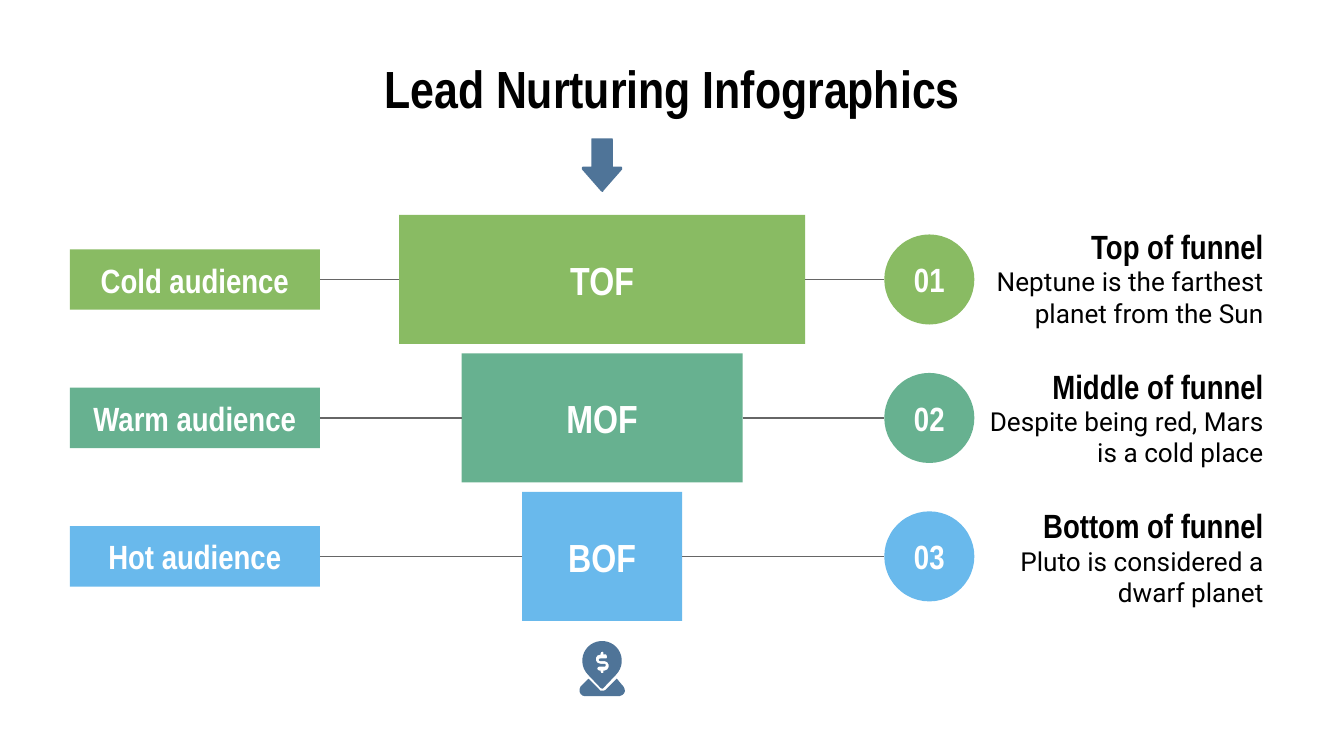
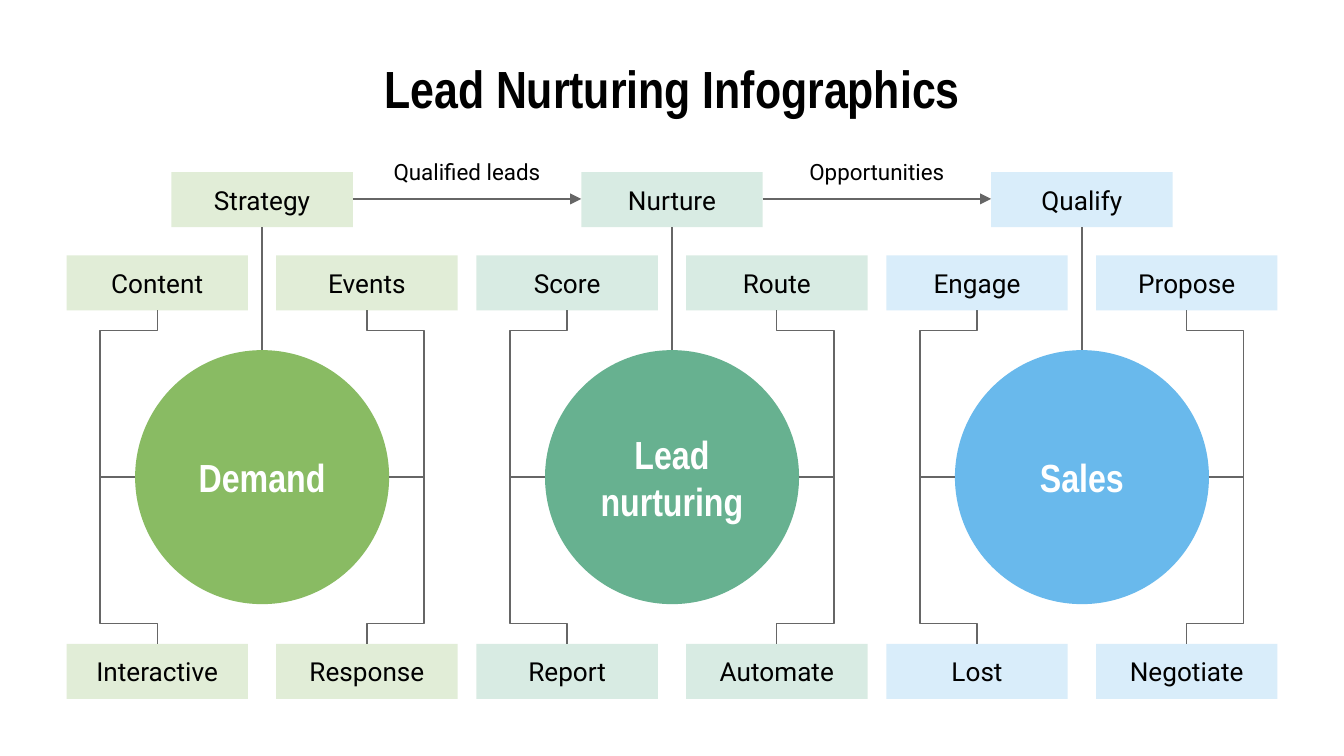
from dataclasses import dataclass
from math import cos, radians, sin

from lxml.etree import SubElement
from pptx import Presentation
from pptx.dml.color import RGBColor
from pptx.enum.shapes import MSO_CONNECTOR as CONN, MSO_SHAPE as SHAPE
from pptx.enum.text import MSO_ANCHOR as ANCHOR, PP_ALIGN as ALIGN
from pptx.oxml.ns import qn
from pptx.util import Inches, Pt


@dataclass(frozen=True)
class Theme:
    heading: str = "Arial Narrow"
    body: str = "Roboto"
    black: str = "000000"
    white: str = "FFFFFF"
    line: str = "666666"
    icon: str = "4F7498"
    accents: tuple = ("89BB63", "67B190", "69B9EC")
    title_size: int = 28
    stage_size: int = 21
    label_size: int = 18
    body_size: int = 14
    note_size: int = 12
    line_width: float = 0.75
    tint: int = 25


T = Theme()


def add_text(s, box, text, size, font=T.heading, color=T.black, align=ALIGN.CENTER,
             kind=None, fill=None, tint=None):
    box = [Inches(v) for v in box]
    if kind is None:
        sp = s.shapes.add_textbox(*box)
    else:
        sp = s.shapes.add_shape(kind, *box)
        sp.shadow.inherit = False
        sp.line.fill.background()
        sp.fill.solid()
        sp.fill.fore_color.rgb = RGBColor.from_string(fill)
        if tint:
            clr = sp._element.spPr.find(".//" + qn("a:srgbClr"))
            SubElement(clr, qn("a:alpha"), val=str(tint * 1000))
    tf = sp.text_frame
    tf.word_wrap = True
    tf.vertical_anchor = ANCHOR.MIDDLE
    tf.margin_left = tf.margin_right = tf.margin_top = tf.margin_bottom = Inches(0.1)
    p = tf.paragraphs[0]
    p.alignment = align
    r = p.add_run()
    r.text = text
    r.font.size = Pt(size)
    r.font.name = font
    r.font.bold = font == T.heading
    r.font.color.rgb = RGBColor.from_string(color)


def add_line(s, x1, y1, x2, y2, arrow=False, bends=None):
    kind = CONN.ELBOW if bends else CONN.STRAIGHT
    c = s.shapes.add_connector(kind, *[Inches(v) for v in (x1, y1, x2, y2)])
    c.line.color.rgb = RGBColor.from_string(T.line)
    c.line.width = Pt(T.line_width)
    spPr = c._element.spPr
    if arrow:
        SubElement(spPr.find(qn("a:ln")), qn("a:tailEnd"), type="triangle")
    if bends:
        geom = spPr.find(qn("a:prstGeom"))
        geom.set("prst", "bentConnector4")
        for i, bend in enumerate(bends, 1):
            SubElement(geom.find(qn("a:avLst")), qn("a:gd"),
                       name=f"adj{i}", fmla=f"val {round(bend * 100000)}")
    SubElement(spPr, qn("a:effectLst"))


prs = Presentation()
prs.slide_width = Inches(10)
prs.slide_height = Inches(10 * 9 / 16)
funnel, process = [prs.slides.add_slide(prs.slide_layouts[6]) for _ in range(2)]
for s in (funnel, process):
    add_text(s, (0.5, 0.45, 9, 0.41), "Lead Nurturing Infographics", T.title_size)

s = funnel
axis = 4.48
label_left, label_w, badge_left = 0.52, 1.86, 6.58
stages = [
    ("TOF", 3.02, "Cold audience", "Top of funnel",
     "Neptune is the farthest planet from the Sun"),
    ("MOF", 2.09, "Warm audience", "Middle of funnel",
     "Despite being red, Mars is a cold place"),
    ("BOF", 1.19, "Hot audience", "Bottom of funnel",
     "Pluto is considered a dwarf planet"),
]
for i, (stage, w, audience, heading, detail) in enumerate(stages):
    mid = 2.08 + 1.03 * i
    text_top = 1.68 + 1.04 * i
    left = axis - w / 2
    blocks = [
        (SHAPE.RECTANGLE, (left, mid - 0.48, w, 0.96), stage, T.stage_size),
        (SHAPE.OVAL, (badge_left, mid - 0.335, 0.67, 0.67), f"0{i + 1}", T.label_size),
        (SHAPE.RECTANGLE, (label_left, mid - 0.225, label_w, 0.45), audience, T.label_size),
    ]
    for kind, box, text, size in blocks:
        add_text(s, box, text, size, color=T.white, kind=kind, fill=T.accents[i])
    add_text(s, (7.25, text_top, 2.25, 0.3), heading, T.label_size, align=ALIGN.RIGHT)
    add_text(s, (7.25, text_top + 0.31, 2.25, 0.44), detail, T.body_size, T.body,
             align=ALIGN.RIGHT)
    add_line(s, label_left + label_w, mid, left, mid)
    add_line(s, left + w, mid, badge_left, mid)

pin = [(448 + 14.7 * cos(radians(a)), 491.7 + 14.7 * sin(radians(a)))
       for a in range(135, 406, 10)] + [(449, 512), (448.5, 512.4), (448, 512.4), (447, 512)]
dollar = [
    (448, 485), (449, 485, 449, 485, 449, 486), (449, 487), (451, 487),
    (452, 488, 452, 490, 451, 490), (447, 490), (445, 490, 445, 492, 447, 492),
    (450, 492), (454, 492, 454, 499, 450, 499), (449, 499), (449, 500),
    (449, 501, 449, 501, 448, 501), (448, 501, 447, 501, 447, 500), (447, 499),
    (446, 499), (444, 499, 444, 496, 446, 496), (450, 496),
    (451, 496, 451, 494, 450, 494), (447, 494), (442, 494, 442, 487, 447, 487),
    (447, 486), (447, 485, 448, 485, 448, 485),
]
base = [
    (438, 505), (432, 511), (430, 514, 432, 518, 435, 518), (461, 518),
    (465, 517, 466, 514, 464, 511), (459, 505), (451, 513),
    (450, 514, 449, 514, 448, 514), (447, 514, 446, 514, 446, 513),
]
arrow = [
    (433, 125), (433, 126), (447, 142), (448, 143, 449, 143, 449, 142), (463, 126),
    (463, 125), (463, 125, 463, 124, 462, 124), (456, 124), (456, 104),
    (456, 103, 456, 103, 455, 103), (441, 103), (440, 103, 440, 103, 440, 104),
    (440, 124), (434, 124), (433, 124, 433, 125, 433, 125),
]
for outlines in ([pin, dollar], [base], [arrow]):
    fb = None
    for outline in outlines:
        pts = [outline[0]]
        for seg in outline[1:]:
            if len(seg) == 2:
                pts.append(seg)
                continue
            ctrl = [pts[-1], seg[:2], seg[2:4], seg[4:]]
            for t in (0.2, 0.4, 0.6, 0.8, 1):
                weights = ((1 - t) ** 3, 3 * t * (1 - t) ** 2, 3 * t * t * (1 - t), t ** 3)
                pts.append(tuple(sum(k * c[d] for k, c in zip(weights, ctrl))
                                 for d in (0, 1)))
        pts = [(Inches(x / 100), Inches(y / 100)) for x, y in pts]
        if fb is None:
            fb = s.shapes.build_freeform(*pts[0])
        else:
            fb.move_to(*pts[0])
        fb.add_line_segments(pts[1:], close=True)
    sp = fb.convert_to_shape()
    sp.shadow.inherit = False
    sp.line.fill.background()
    sp.fill.solid()
    sp.fill.fore_color.rgb = RGBColor.from_string(T.icon)

s = process
first_mid, last_mid = 1.95, 8.05
pitch = (last_mid - first_mid) / 2
radius, hub_mid = 0.945, 3.55
box_w, box_h = 1.35, 0.41
head_top, upper_top, lower_top = 1.28, 1.9, 4.79
side, stub, reach = 0.78, 0.15, 0.26
phases = [
    ("Demand", "Strategy", ("Content", "Events"), ("Interactive", "Response")),
    ("Lead nurturing", "Nurture", ("Score", "Route"), ("Report", "Automate")),
    ("Sales", "Qualify", ("Engage", "Propose"), ("Lost", "Negotiate")),
]
for i, (hub, head, upper, lower) in enumerate(phases):
    cx = first_mid + pitch * i
    accent = T.accents[i]
    add_text(s, (cx - radius, hub_mid - radius, 2 * radius, 2 * radius), hub, T.stage_size,
             color=T.white, kind=SHAPE.OVAL, fill=accent)
    boxes = [(head, cx, head_top)]
    for names, top, edge in ((upper, upper_top, upper_top + box_h),
                             (lower, lower_top, lower_top)):
        for name, sign in zip(names, (-1, 1)):
            x = cx + sign * side
            boxes.append((name, x, top))
            add_line(s, cx + sign * radius, hub_mid, x, edge,
                     bends=(-reach / (radius - side), 1 - stub / abs(edge - hub_mid)))
    for name, x, top in boxes:
        add_text(s, (x - box_w / 2, top, box_w, box_h), name, T.body_size, T.body,
                 kind=SHAPE.RECTANGLE, fill=accent, tint=T.tint)
    add_line(s, cx, head_top + box_h, cx, hub_mid - radius)

for i, flow in enumerate(("Qualified leads", "Opportunities")):
    cx = first_mid + pitch * (i + 0.5)
    half = (pitch - box_w) / 2
    add_text(s, (cx - box_w / 2, 1.07, box_w, box_h), flow, T.note_size, T.body)
    add_line(s, cx - half, 1.48, cx + half, 1.48, arrow=True)

prs.save("out.pptx")
